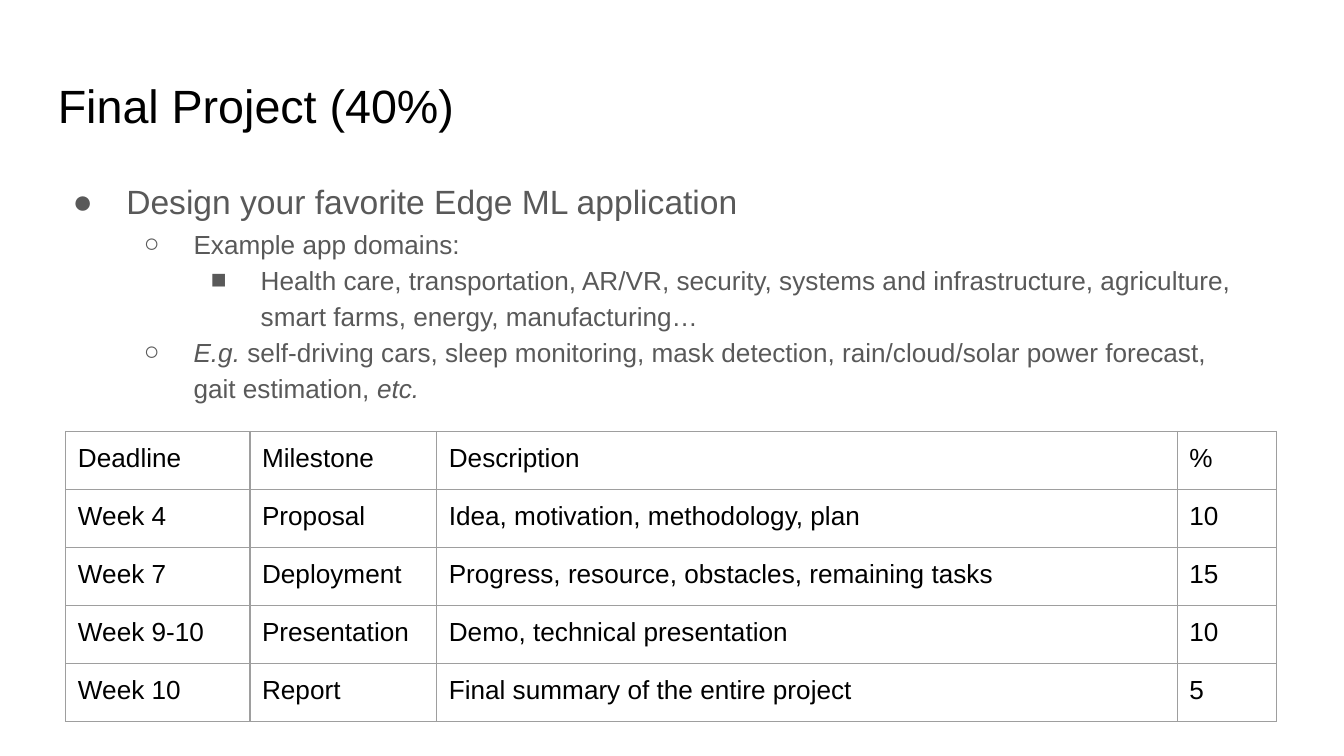
"""Build the final project slide with its outline and milestone table."""
import dataclasses

import pptx
import pptx.dml.color
import pptx.enum.text
import pptx.oxml
import pptx.oxml.ns
import pptx.util

Inches = pptx.util.Inches
Pt = pptx.util.Pt
NS = pptx.oxml.ns.nsdecls("a")
COLORS = {"black": "000000", "gray": "595959", "border": "9E9E9E"}
FRAME = {
    "word_wrap": True,
    "auto_size": pptx.enum.text.MSO_AUTO_SIZE.NONE,
    "vertical_anchor": pptx.enum.text.MSO_ANCHOR.TOP,
    "margin_left": 0,
    "margin_right": 0,
    "margin_bottom": 0,
}
CELL = {
    "margin_left": Inches(0.09),
    "margin_right": 0,
    "margin_top": Inches(0.09),
    "margin_bottom": 0,
    "vertical_anchor": pptx.enum.text.MSO_ANCHOR.TOP,
}
LEVELS = [("●", 0.41, -0.4), ("○", 0.91, -0.37), ("■", 1.41, -0.37)]
COLUMNS = [1.37, 1.39, 5.51, 0.74]
TABLE_HEIGHT = 2.16


@dataclasses.dataclass
class Item:
    """One outline paragraph; its runs alternate upright and italic."""

    level: int
    runs: list[str]
    size: int = 14
    before: float = 0
    spacing: float = 1.15


ITEMS = [
    Item(0, ["Design your favorite Edge ML application"], 18, 0, 1),
    Item(1, ["Example app domains:"], before=3.4, spacing=1),
    Item(2, ["Health care, transportation, AR/VR, security, systems and infrastructure, "
             "agriculture, smart farms, energy, manufacturing…"]),
    Item(1, ["", "E.g. ", "self-driving cars, sleep monitoring, mask detection, "
             "rain/cloud/solar power forecast, gait estimation, ", "etc."]),
]
MILESTONES = [
    ("Deadline", "Milestone", "Description", "%"),
    ("Week 4", "Proposal", "Idea, motivation, methodology, plan", "10"),
    ("Week 7", "Deployment", "Progress, resource, obstacles, remaining tasks", "15"),
    ("Week 9-10", "Presentation", "Demo, technical presentation", "10"),
    ("Week 10", "Report", "Final summary of the entire project", "5"),
]


def set_all(target, values: dict) -> None:
    """Set each named attribute."""
    for name, value in values.items():
        setattr(target, name, value)


def add_run(p, text: str, size: float, color: str, italic: bool = False) -> None:
    """Append a formatted run."""
    r = p.add_run()
    r.text = text
    set_all(r.font, {"name": "Arial", "size": Pt(size), "bold": False, "italic": italic})
    r.font.color.rgb = pptx.dml.color.RGBColor.from_string(COLORS[color])


def add_title(s, text: str) -> None:
    """Place and fill the title placeholder."""
    sp = s.shapes.title
    set_all(sp, {"left": Inches(0.43), "top": Inches(0.55),
                 "width": Inches(9.15), "height": Inches(0.45)})
    set_all(sp.text_frame, FRAME | {"margin_top": Inches(0.02)})
    p = sp.text_frame.paragraphs[0]
    p.alignment = pptx.enum.text.PP_ALIGN.LEFT
    add_run(p, text, 25, "black")


def add_bullet(p, level: int) -> None:
    """Give a paragraph the bullet and indent of its level."""
    bullet, margin, indent = LEVELS[level]
    pr = p._p.get_or_add_pPr()
    pr.set("marL", str(Inches(margin)))
    pr.set("indent", str(Inches(indent)))
    pr.append(pptx.oxml.parse_xml(f'<a:buFont {NS} typeface="Arial"/>'))
    pr.append(pptx.oxml.parse_xml(f'<a:buChar {NS} char="{bullet}"/>'))


def add_outline(s, items: list[Item]) -> None:
    """Add the bulleted outline."""
    sp = s.shapes.add_textbox(Inches(0.53), Inches(1.27), Inches(8.75), Inches(1.74))
    tf = sp.text_frame
    set_all(tf, FRAME | {"margin_top": Inches(0.08)})
    for i, item in enumerate(items):
        p = tf.add_paragraph() if i else tf.paragraphs[0]
        set_all(p, {"level": item.level, "space_before": Pt(item.before),
                    "line_spacing": item.spacing})
        add_bullet(p, item.level)
        for j, text in enumerate(item.runs):
            if text:
                add_run(p, text, item.size, "gray", j % 2 == 1)


def add_borders(cell) -> None:
    """Draw a thin line on every side of a cell."""
    pr = cell._tc.get_or_add_tcPr()
    for i, side in enumerate(("lnL", "lnR", "lnT", "lnB")):
        pr.insert(i, pptx.oxml.parse_xml(
            f'<a:{side} {NS} w="{Pt(0.75)}"><a:solidFill>'
            f'<a:srgbClr val="{COLORS["border"]}"/></a:solidFill></a:{side}>'))


def add_milestones(s, rows: list[tuple[str, ...]]) -> None:
    """Add the milestone table."""
    table = s.shapes.add_table(
        len(rows), len(COLUMNS), Inches(0.49), Inches(3.21),
        Inches(sum(COLUMNS)), Inches(TABLE_HEIGHT)).table
    set_all(table, {"first_row": False, "horz_banding": False})
    for column, width in zip(table.columns, COLUMNS):
        column.width = Inches(width)
    for row, texts in zip(table.rows, rows):
        row.height = Inches(TABLE_HEIGHT / len(rows))
        for cell, text in zip(row.cells, texts):
            set_all(cell, CELL)
            cell.fill.background()
            add_borders(cell)
            add_run(cell.text_frame.paragraphs[0], text, 14, "black")


def main() -> None:
    """Build and save the slide."""
    prs = pptx.Presentation()
    prs.slide_width = Inches(10)
    prs.slide_height = prs.slide_width * 9 // 16
    s = prs.slides.add_slide(prs.slide_layouts.get_by_name("Title Only"))
    add_title(s, "Final Project (40%)")
    add_outline(s, ITEMS)
    add_milestones(s, MILESTONES)
    prs.save("out.pptx")


if __name__ == "__main__":
    main()
